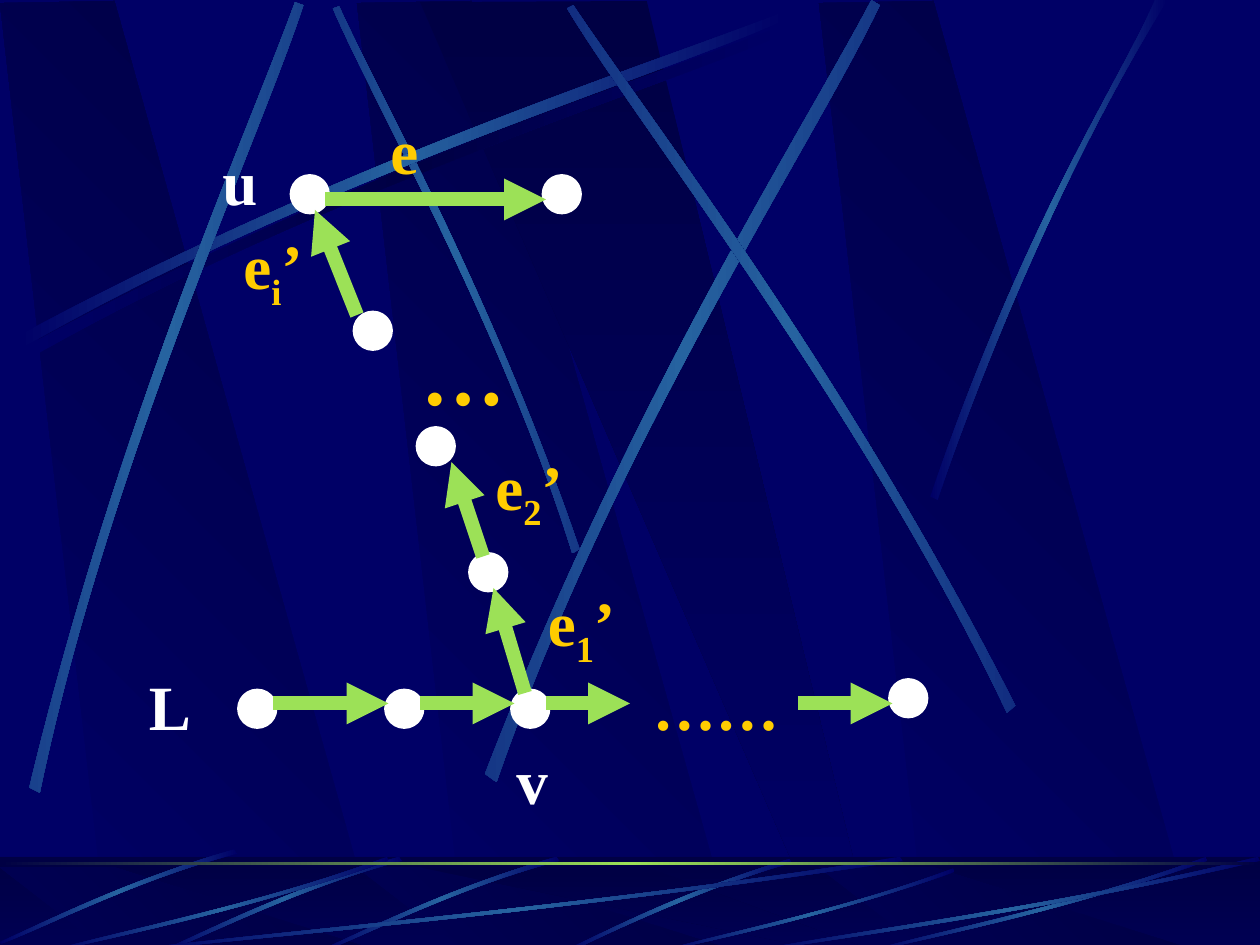
"""Build a slide showing a cycle of directed edges over a dark beam backdrop."""
from dataclasses import dataclass
from math import cos, radians, sin

from lxml.etree import SubElement
from pptx import Presentation
from pptx.dml.color import RGBColor as Rgb
from pptx.enum.shapes import MSO_CONNECTOR as Connector, MSO_SHAPE as Preset
from pptx.oxml.ns import qn
from pptx.util import Pt

PX = 7620
WIDTH, HEIGHT = 1200, 900


@dataclass(frozen=True)
class Theme:
    navy: str = "000066"
    night: str = "000044"
    steel: str = "2663A0"
    lime: str = "9CE157"
    white: str = "FFFFFF"
    gold: str = "FFCC00"
    font: str = "Times New Roman"
    label: int = 36
    dots: int = 48
    edge: int = 8
    rim: int = 5


def move(outline, dx, dy):
    return [(x + dx, y + dy) for x, y in outline]


def fit(outline, left, top, width, height):
    wide, high = (max(axis) for axis in zip(*outline))
    return [(left + x * width / wide, top + y * height / high) for x, y in outline]


def turn(x, y, degrees):
    angle = radians(degrees)
    return x * cos(angle) - y * sin(angle), x * sin(angle) + y * cos(angle)


def bend(shape):
    segments = list(shape._element.iter(qn("a:lnTo")))
    for start in (0, 4):
        first, *others = segments[start:start + 3]
        first.tag = qn("a:cubicBezTo")
        for segment in others:
            first.append(segment[0])
            segment.getparent().remove(segment)


class Painter:
    def __init__(self, slide, theme):
        self.slide, self.theme = slide, theme
        self.shapes = slide.shapes
        slide.background.fill.solid()
        slide.background.fill.fore_color.rgb = Rgb.from_string(theme.navy)

    def gradient(self, shape, colors, angle):
        shape.shadow.inherit = False
        shape.line.fill.background()
        shape.fill.gradient()
        shape.fill.gradient_angle = 360 - angle
        stops = shape.fill._xPr.find(qn("a:gradFill")).find(qn("a:gsLst"))
        for stop in list(stops):
            stops.remove(stop)
        for index, color in enumerate(colors):
            position = 100000 * index // (len(colors) - 1)
            stop = SubElement(stops, qn("a:gs"), pos=str(position))
            SubElement(stop, qn("a:srgbClr"), val=color)

    def polygon(self, outline, colors, angle=0, rotation=0):
        points = [tuple(round(v * PX) for v in turn(x, y, -rotation)) for x, y in outline]
        builder = self.shapes.build_freeform(*points[0])
        builder.add_line_segments(points[1:], close=True)
        shape = builder.convert_to_shape()
        center = turn(shape.left + shape.width / 2, shape.top + shape.height / 2, rotation)
        shape.left = round(center[0] - shape.width / 2)
        shape.top = round(center[1] - shape.height / 2)
        shape.rotation = rotation
        self.gradient(shape, colors, angle)
        return shape

    def beam(self, controls, rotation=0, glow=None):
        navy = self.theme.navy
        colors = (navy, glow or self.theme.steel, navy)
        bend(self.polygon(controls, colors, (360 - rotation) % 360, rotation))

    def panel(self, left, top, width, height, colors, angle):
        shape = self.shapes.add_shape(Preset.RECTANGLE, *(v * PX for v in (left, top, width, height)))
        self.gradient(shape, colors, angle)

    def veil(self, left, top, width, height, color, alpha):
        shape = self.shapes.add_shape(Preset.RECTANGLE, *(v * PX for v in (left, top, width, height)))
        shape.shadow.inherit = False
        shape.line.fill.background()
        shape.fill.solid()
        shape.fill.fore_color.rgb = Rgb.from_string(color)
        tint = shape.fill._xPr.find(qn("a:solidFill"))[0]
        SubElement(tint, qn("a:alpha"), val=str(alpha * 1000))

    def node(self, left, top, size=30):
        shape = self.shapes.add_shape(Preset.OVAL, left * PX, top * PX, size * PX, size * PX)
        shape.shadow.inherit = False
        shape.fill.solid()
        shape.fill.fore_color.rgb = shape.line.color.rgb = Rgb.from_string(self.theme.white)
        shape.line.width = Pt(self.theme.rim)

    def edge(self, *ends):
        line = self.shapes.add_connector(Connector.STRAIGHT, *(v * PX for v in ends))
        line.line.color.rgb = Rgb.from_string(self.theme.lime)
        line.line.width = Pt(self.theme.edge)
        SubElement(line.line._get_or_add_ln(), qn("a:tailEnd"), type="triangle")
        SubElement(line._element.spPr, qn("a:effectLst"))

    def label(self, left, top, width, height, color, runs, size=None):
        box = self.shapes.add_textbox(*(v * PX for v in (left, top, width, height)))
        box.text_frame.word_wrap = True
        paragraph = box.text_frame.paragraphs[0]
        for text, baseline in runs:
            run = paragraph.add_run()
            run.text = text
            font = run.font
            font.name, font.bold = self.theme.font, True
            font.size = Pt(size or self.theme.label)
            font.color.rgb = Rgb.from_string(color)
            if baseline:
                run._r.get_or_add_rPr().set("baseline", str(baseline * 1000))


PLANK = [(103, 899), (362, 902), (109, 0), (0, 2)]
BLADE = [(0, 1), (390, 901), (433, 901), (216, 0)]
SWEEP = [(480, 4), (272, 52), (83, 77), (2, 90), (0, 89), (79, 73), (295, 46), (478, 0)]
ARC = [(17, 320), (334, 150), (622, 61), (744, 12), (748, 19), (626, 73), (298, 172), (20, 332)]
RAYS = [
    (45, [(552, 523), (469, 281), (362, 92), (323, 6),
          (317, 8), (354, 95), (478, 310), (545, 527)]),
    (0, ARC),
    (311.7, [(28, 750), (112, 401), (236, 126), (281, 2),
             (289, 5), (248, 131), (103, 442), (38, 755)]),
    (321.6, [(462, 737), (598, 384), (766, 122), (830, 0),
             (838, 5), (779, 130), (583, 426), (473, 745)]),
    (34.8, [(967, 672), (804, 352), (619, 114), (546, 5),
            (540, 8), (608, 121), (822, 390), (959, 679)]),
    (0, [(886, 473), (977, 208), (1066, 79), (1100, 0),
         (1112, 0), (1003, 174), (923, 386), (893, 476)]),
]
FLOOR_RAY = [(752, 818), (644, 851), (572, 890), (538, 905),
             (544, 906), (588, 884), (685, 840), (754, 822)]
FLOOR_TWIN = [(530, 816), (426, 846), (344, 888), (307, 904),
              (308, 906), (346, 892), (438, 844), (533, 820)]


def draw_planks(painter, top, height):
    theme = painter.theme
    for left in (340, 0, 780):
        painter.polygon(fit(PLANK, left, top, 362, height), (theme.navy, theme.night), 315)
    painter.polygon(fit(BLADE, 400, top, 433, height), (theme.night, theme.navy), 90)


def draw_backdrop(painter):
    theme = painter.theme
    draw_planks(painter, 1, 902)
    for rotation, controls in RAYS:
        if controls is RAYS[0][1]:
            painter.beam(move(ARC, 7, 10), glow=theme.night)
        painter.beam(controls, rotation)
    painter.panel(0, 816, WIDTH, 90, (theme.night, theme.navy), 90)
    draw_planks(painter, 826, 80)
    painter.veil(0, 816, WIDTH, 90, theme.night, 50)
    painter.beam(FLOOR_RAY)
    for dx, dy in ((0, 0), (-150, 0), (-307, -7)):
        painter.beam(move(FLOOR_TWIN, dx, dy), 314.9)
    for box in ((120, 816, 740, 90), (50, 816, 320, 90), (632, 827, 277, 79),
                (830, 816, 320, 90), (720, 816, 480, 90)):
        painter.beam(fit(SWEEP, *box))
    painter.panel(0, 821, WIDTH, 3, (theme.night, theme.lime, theme.night), 0)


def draw_graph(painter):
    theme = painter.theme
    for place in ((280, 170), (340, 300), (400, 410), (450, 530), (850, 650),
                  (490, 660), (370, 660), (230, 660), (520, 170)):
        painter.node(*place)
    for ends in ((310, 190, 520, 190), (260, 670, 370, 670), (400, 670, 490, 670),
                 (520, 670, 600, 670), (760, 670, 850, 670), (500, 660, 470, 560),
                 (460, 530, 430, 440), (340, 300, 300, 200)):
        painter.edge(*ends)
    painter.label(610, 630, 150, 84, theme.gold, [("……", 0)])
    for left, top, width, name in ((130, 630, 90, "L"), (480, 700, 90, "v"), (200, 130, 60, "u")):
        painter.label(left, top, width, 84, theme.white, [(name, 0)])
    painter.label(360, 100, 90, 84, theme.gold, [("e", 0)])
    for left, top, width, index in ((510, 550, 110, "1"), (460, 420, 110, "2"), (220, 210, 90, "i")):
        painter.label(left, top, width, 95, theme.gold, [("e", 0), (index, -25), ("’", 0)])
    painter.label(390, 300, 150, 108, theme.gold, [("…", 0)], theme.dots)


def main():
    deck = Presentation()
    deck.slide_width, deck.slide_height = WIDTH * PX, HEIGHT * PX
    painter = Painter(deck.slides.add_slide(deck.slide_layouts[6]), Theme())
    draw_backdrop(painter)
    draw_graph(painter)
    deck.save("out.pptx")


if __name__ == "__main__":
    main()
